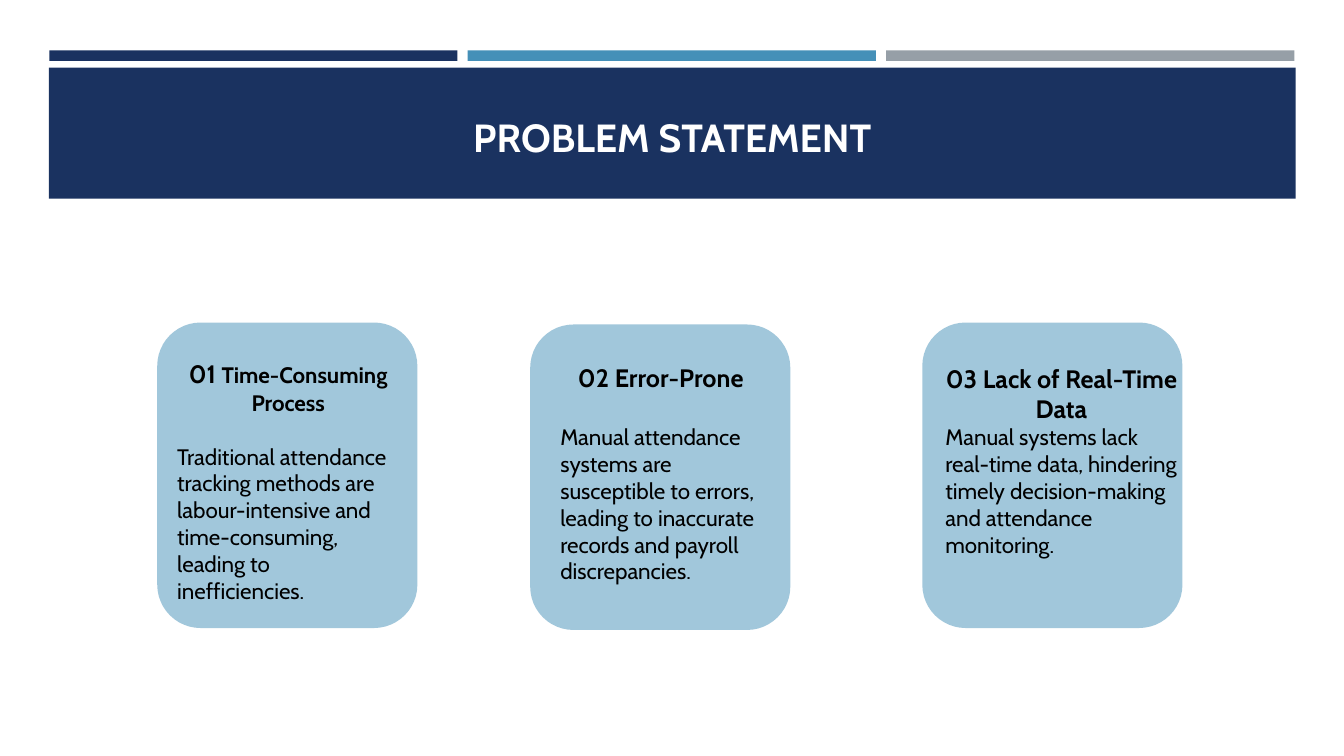
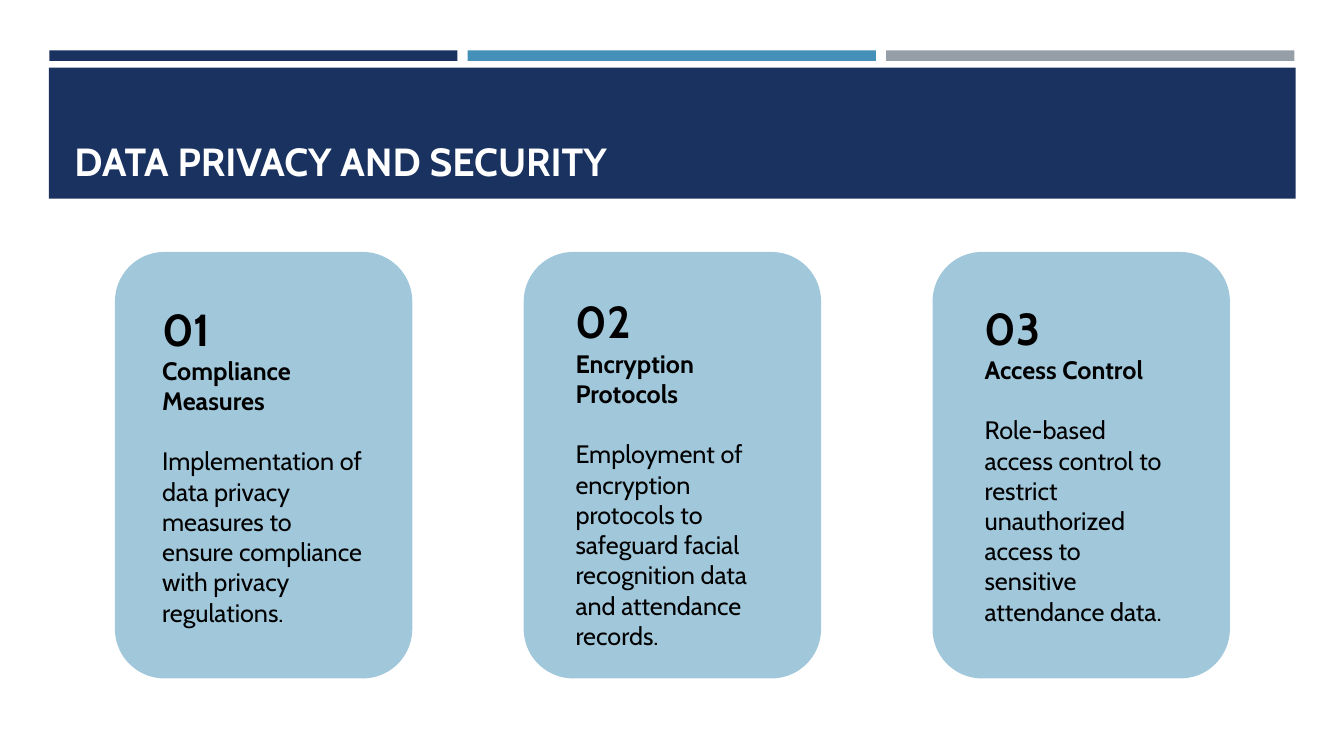
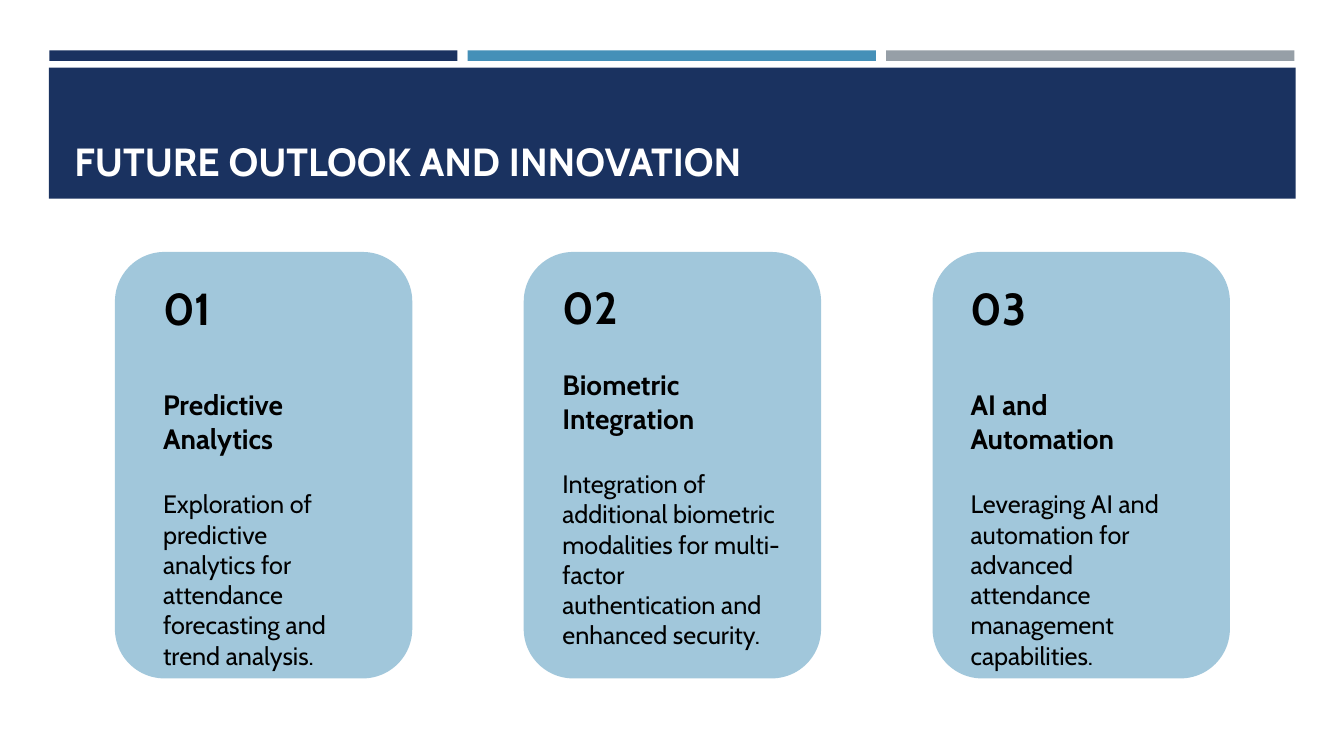
from collections import namedtuple

from lxml import etree
from pptx import Presentation
from pptx.dml.color import RGBColor
from pptx.enum.shapes import MSO_SHAPE
from pptx.enum.text import MSO_ANCHOR, MSO_AUTO_SIZE, PP_ALIGN
from pptx.oxml.ns import qn
from pptx.util import Pt

RECTANGLE = MSO_SHAPE.RECTANGLE
ROUNDED = MSO_SHAPE.ROUNDED_RECTANGLE
ALTERNATE_PROCESS = MSO_SHAPE.FLOWCHART_ALTERNATE_PROCESS
LEFT, CENTER = PP_ALIGN.LEFT, PP_ALIGN.CENTER
BOTTOM = MSO_ANCHOR.BOTTOM
NO_AUTOFIT = MSO_AUTO_SIZE.NONE

FONT = "Cabin"
NAVY, BLUE, GRAY = "1A3260", "4590B8", "969FA7"
WHITE, BLACK = "FFFFFF", "000000"

TITLE_BOX = (46, 55.5, 868.3, 80)
BAND_BOX = (35, 48.4, 890.6, 93.6)
BAR_LEFT, BAR_TOP, BAR_WIDTH, BAR_HEIGHT, BAR_STEP = 35.2, 36, 291.6, 7.5, 298.9

# Cards are (left, top, width, height); gaps are the space above heading and body.
Card = namedtuple("Card", "card_box text_box heading heading_size body gaps")
Page = namedtuple("Page", "title title_top title_align outline "
                          "number_size number_inline body_size cards")

TALL_CARDS = [(82.1 + 292 * column, 180, 212.4, 304.6) for column in range(3)]

PAGES = [
    Page("PROBLEM STATEMENT", 38, CENTER, ALTERNATE_PROCESS, 18, True, 16, [
        Card((112.3, 230.4, 185.8, 218.2), (119.5, 252.7, 172.8, 182),
             "Time-Consuming Process", 16,
             "Traditional attendance tracking methods are labour-intensive and "
             "time-consuming, leading to inefficiencies.", (0, 19.2)),
        Card((378.7, 231.8, 185.8, 218.2), (393.1, 255.6, 157.7, 189.4),
             "Error-Prone", 18,
             "Manual attendance systems are susceptible to errors, leading to "
             "inaccurate records and payroll discrepancies.", (0, 21.6)),
        Card((658.8, 230.4, 185.8, 218.2), (668.2, 255.6, 180, 170),
             "Lack of Real-Time Data", 18,
             "Manual systems lack real-time data, hindering timely "
             "decision-making and attendance monitoring.", (0, 0)),
    ]),
    Page("DATA PRIVACY AND SECURITY", 55.5, LEFT, ROUNDED, 32, False, 18, [
        Card(TALL_CARDS[0], (108.7, 211.7, 159.1, 242.6),
             "Compliance Measures", 18,
             "Implementation of data privacy measures to ensure compliance "
             "with privacy regulations.", (0, 21.6)),
        Card(TALL_CARDS[1], (404, 206.6, 157.7, 285.8),
             "Encryption Protocols", 18,
             "Employment of encryption protocols to safeguard facial "
             "recognition data and attendance records.", (0, 21.6)),
        Card(TALL_CARDS[2], (696.2, 211, 142.6, 264.2),
             "Access Control", 18,
             "Role-based access control to restrict unauthorized access to "
             "sensitive attendance data.", (0, 21.6)),
    ]),
    Page("FUTURE OUTLOOK AND INNOVATION", 55.5, LEFT, ROUNDED, 32, False, 18, [
        Card(TALL_CARDS[0], (109.4, 196.6, 155.5, 288.7),
             "Predictive Analytics", 20,
             "Exploration of predictive analytics for attendance forecasting "
             "and trend analysis.", (38.4, 24)),
        Card(TALL_CARDS[1], (394.6, 196.6, 171.4, 296),
             "Biometric Integration", 20,
             "Integration of additional biometric modalities for multi-factor "
             "authentication and enhanced security.", (24, 24)),
        Card(TALL_CARDS[2], (686.2, 196.6, 170.6, 288.7),
             "AI and Automation", 20,
             "Leveraging AI and automation for advanced attendance management "
             "capabilities.", (38.4, 24)),
    ]),
]


def points(box):
    return [Pt(length) for length in box]


def style_font(font, size, color, bold):
    font.name, font.size, font.bold = FONT, Pt(size), bold
    font.color.rgb = RGBColor.from_string(color)


def add_block(slide, outline, box, color, opacity=100):
    block = slide.shapes.add_shape(outline, *points(box))
    block.shadow.inherit = False
    block.fill.solid()
    block.fill.fore_color.rgb = RGBColor.from_string(color)
    block.line.fill.background()
    if opacity < 100:
        fill_color = block.element.spPr.find(".//" + qn("a:srgbClr"))
        etree.SubElement(fill_color, qn("a:alpha"), val=str(opacity * 1000))
    return block


def decorate_layout(layout, slide):
    """Draw the bars and the title band on a slide and move them to its layout."""
    blocks = [add_block(slide, RECTANGLE, BAND_BOX, NAVY)]
    for column, color in enumerate((NAVY, BLUE, GRAY)):
        box = (BAR_LEFT + column * BAR_STEP, BAR_TOP, BAR_WIDTH, BAR_HEIGHT)
        blocks.append(add_block(slide, RECTANGLE, box, color))
    for block in blocks:
        layout.shapes.element.insert(2, block.element)


def fill_title(title, page):
    left, _, width, height = TITLE_BOX
    title.left, title.top, title.width, title.height = points(
        (left, page.title_top, width, height))
    frame = title.text_frame
    frame.text = page.title
    frame.vertical_anchor = BOTTOM
    frame.auto_size = NO_AUTOFIT
    paragraph = frame.paragraphs[0]
    paragraph.alignment = page.title_align
    style_font(paragraph.font, 28, WHITE, True)


def add_paragraph(frame, text, size, bold, gap=0):
    paragraph = frame.add_paragraph()
    paragraph.text = text
    paragraph.space_before = Pt(gap)
    style_font(paragraph.font, size, BLACK, bold)


def add_card_text(slide, page, card, number):
    frame = slide.shapes.add_textbox(*points(card.text_box)).text_frame
    frame.word_wrap = True
    heading_gap, body_gap = card.gaps
    first = frame.paragraphs[0]
    style_font(first.font, page.number_size, BLACK, True)
    if page.number_inline:
        first.alignment = CENTER
        first.add_run().text = number + " "
        heading = first.add_run()
        heading.text = card.heading
        heading.font.size = Pt(card.heading_size)
    else:
        first.text = number
        add_paragraph(frame, card.heading, card.heading_size, True, heading_gap)
    add_paragraph(frame, card.body, page.body_size, False, body_gap)


def main():
    deck = Presentation()
    deck.slide_width, deck.slide_height = Pt(960), Pt(540)
    layout = deck.slide_layouts.get_by_name("Title Only")
    for index, page in enumerate(PAGES):
        slide = deck.slides.add_slide(layout)
        if index == 0:
            decorate_layout(layout, slide)
        fill_title(slide.shapes.title, page)
        for card in page.cards:
            add_block(slide, page.outline, card.card_box, BLUE, 50)
        for number, card in enumerate(page.cards, start=1):
            add_card_text(slide, page, card, f"{number:02}")
    deck.save("out.pptx")


if __name__ == "__main__":
    main()
